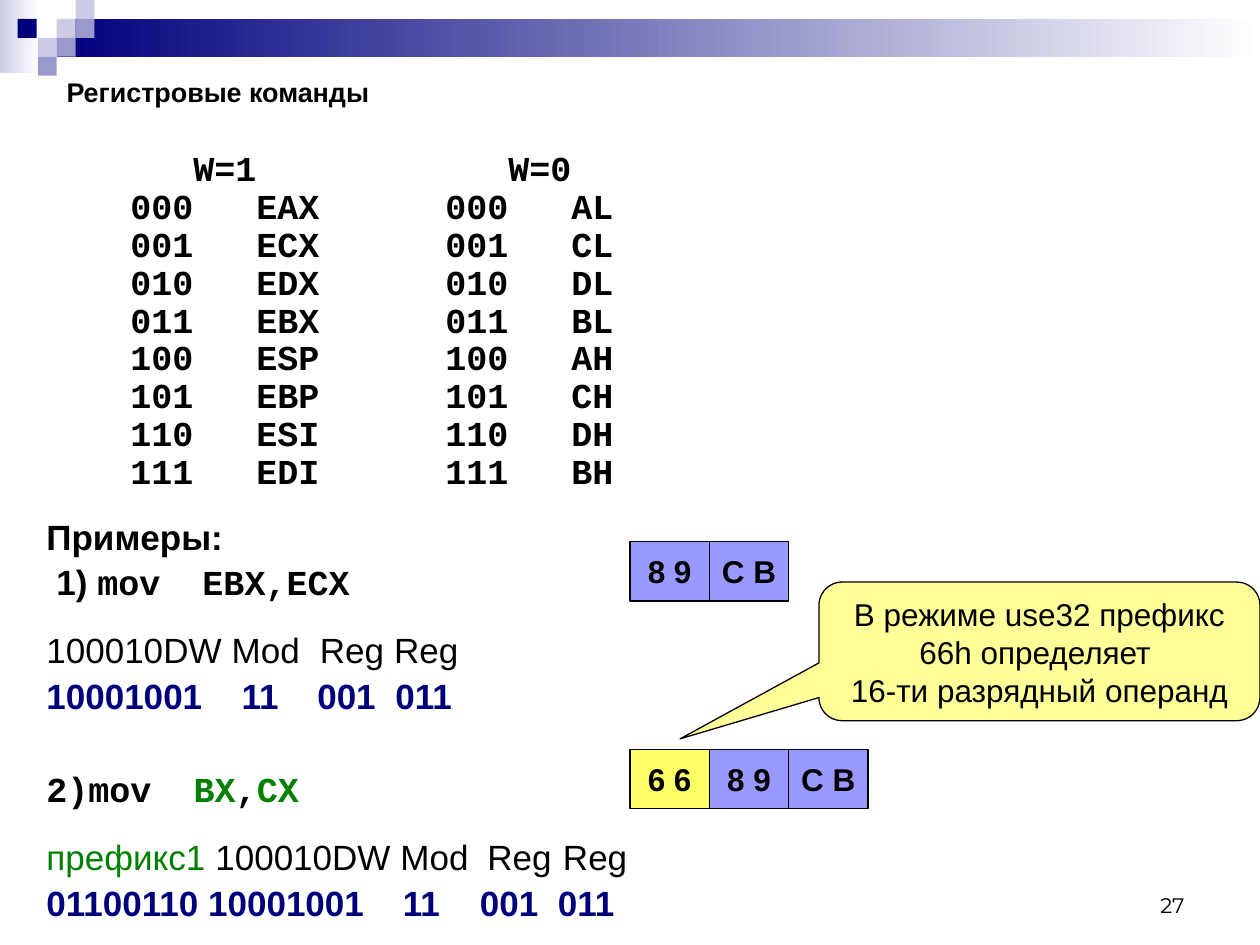
from lxml.etree import SubElement
from pptx import Presentation
from pptx.dml.color import RGBColor
from pptx.enum.shapes import MSO_SHAPE
from pptx.enum.text import MSO_ANCHOR, PP_ALIGN
from pptx.oxml.ns import qn
from pptx.util import Inches, Pt

COLORS = {
    "white": "FFFFFF", "black": "000000", "navy": "00007D", "green": "008000",
    "pale": "CCCCE6", "mid": "9999CC", "byte": "9999FF", "prefix": "FFFF66",
    "note": "FFFF99",
}
BODY_FONT, CODE_FONT = "Arial", "Courier New"
SQUARE = 0.15
BYTE_WIDTH, BYTE_HEIGHT = 0.63, 0.47
CODE_CHAR = 1 / 6  # width in inches of one 20 pt code character

REGISTERS = [
    ("000", "EAX", "AL"), ("001", "ECX", "CL"), ("010", "EDX", "DL"),
    ("011", "EBX", "BL"), ("100", "ESP", "AH"), ("101", "EBP", "CH"),
    ("110", "ESI", "DH"), ("111", "EDI", "BH"),
]


def color(name):
    return RGBColor.from_string(COLORS[name])


def add_run(paragraph, text, size=20, font=BODY_FONT, ink="black", bold=False):
    run = paragraph.add_run()
    run.text = text
    run.font.size = Pt(size)
    run.font.name = font
    run.font.bold = bold
    run.font.color.rgb = color(ink)


def add_box(slide, left, top, width, height, fill, outlined=False,
            kind=MSO_SHAPE.RECTANGLE):
    """Add a flat shape; a pair of fill names gives a left-to-right gradient."""
    box = slide.shapes.add_shape(
        kind, Inches(left), Inches(top), Inches(width), Inches(height))
    box.shadow.inherit = False
    if isinstance(fill, tuple):
        box.fill.gradient()
        box.fill.gradient_angle = 0
        for stop, name in zip(box.fill.gradient_stops, fill):
            stop.color.rgb = color(name)
    else:
        box.fill.solid()
        box.fill.fore_color.rgb = color(fill)
    if outlined:
        box.line.color.rgb = color("black")
        box.line.width = Pt(0.75)
    else:
        box.line.fill.background()
    return box


def add_text_frame(slide, left, top, width, height, anchor=MSO_ANCHOR.TOP):
    frame = slide.shapes.add_textbox(
        Inches(left), Inches(top), Inches(width), Inches(height)).text_frame
    frame.word_wrap = True
    frame.vertical_anchor = anchor
    return frame


def add_line(frame, runs, before=0, tabs=(), margin=0):
    """Add a line of (text, style) runs with tab stops given in inches."""
    first = frame.paragraphs[0]
    line = frame.add_paragraph() if first.runs else first
    line.line_spacing = Pt(21.6)
    if before:
        line.space_before = Pt(before)
    properties = line._p.get_or_add_pPr()
    if margin:
        properties.set("marL", str(Inches(margin)))
    if tabs:
        stops = SubElement(properties, qn("a:tabLst"))
        for position in tabs:
            SubElement(stops, qn("a:tab"), pos=str(Inches(position)), algn="l")
    for text, style in runs:
        add_run(line, text, **style)


def add_header_band(slide):
    add_box(slide, 0, 0, 0.31, 0.58, ("pale", "white"))
    add_box(slide, 0.45, 0.15, 9.55, 0.3, ("navy", "white"))
    squares = [
        (0.45, 0.15, "pale"), (0.6, 0, "pale"), (0.6, 0.15, "mid"),
        (0.3, 0.3, "pale"), (0.14, 0.15, "navy"), (0.45, 0.3, "mid"),
        (0.3, 0.45, "mid"),
    ]
    for left, top, fill in squares:
        add_box(slide, left, top, SQUARE, SQUARE, fill)


def add_registers(frame):
    code = {"font": CODE_FONT, "bold": True}
    header_tabs = [CODE_CHAR * column for column in (7, 22)]
    row_tabs = [CODE_CHAR * column for column in (4, 10, 19, 25)]
    add_line(frame, [("\tW=1\tW=0", code)], tabs=header_tabs)
    for bits, wide, narrow in REGISTERS:
        row = f"\t{bits}\t{wide}\t{bits}\t{narrow}"
        add_line(frame, [(row, code)], tabs=row_tabs)


def add_examples(frame):
    bold = {"bold": True}
    code = {"font": CODE_FONT, "bold": True}
    green_code = {**code, "ink": "green"}
    bits = {"bold": True, "ink": "navy"}
    fields = "100010DW\tMod\tReg\tReg"
    values = "10001001\t11\t001\t011"

    add_line(frame, [("Примеры:", bold)], 16)
    add_line(frame, [("1) ", bold), ("mov  EBX,ECX", code)], 4.1, margin=0.08)
    add_line(frame, [(fields, {})], 17.7, (1.47, 2.17, 2.76))
    add_line(frame, [(values, bits)], 4.7, (1.55, 2.15, 2.77))

    add_line(frame, [("2)mov  ", code), ("BX", green_code), (",", code),
                     ("CX", green_code)], 31.1)
    add_line(frame, [("префикс1 ", {"ink": "green"}), (fields, {})],
             17.7, (2.81, 3.5, 4.1))
    add_line(frame, [("01100110 " + values, bits)], 4.7, (2.83, 3.44, 4.06))


def add_bytes(slide, top, cells):
    for index, (text, fill) in enumerate(cells):
        cell = add_box(slide, 5 + index * BYTE_WIDTH, top,
                       BYTE_WIDTH, BYTE_HEIGHT, fill, outlined=True)
        cell.text_frame.word_wrap = False
        cell.text_frame.vertical_anchor = MSO_ANCHOR.MIDDLE
        label = cell.text_frame.paragraphs[0]
        label.alignment = PP_ALIGN.CENTER
        add_run(label, text, 18, bold=True)


def add_callout(slide):
    callout = add_box(slide, 6.5, 4.62, 3.5, 1.1, "note", outlined=True,
                      kind=MSO_SHAPE.ROUNDED_RECTANGULAR_CALLOUT)
    for index, value in enumerate((-0.815, 0.631, 0.167)):
        callout.adjustments[index] = value
    frame = callout.text_frame
    frame.word_wrap = True
    frame.vertical_anchor = MSO_ANCHOR.TOP
    for paragraph, text in (
        (frame.paragraphs[0], "В режиме use32 префикс 66h определяет "),
        (frame.add_paragraph(), "16-ти разрядный операнд"),
    ):
        paragraph.alignment = PP_ALIGN.CENTER
        add_run(paragraph, text, 18)


def main():
    presentation = Presentation()
    presentation.slide_width = Inches(10)
    presentation.slide_height = Inches(7.5)
    slide = presentation.slides.add_slide(presentation.slide_layouts[6])

    add_header_band(slide)
    number = add_text_frame(slide, 7.17, 6.83, 2.33, 0.5, MSO_ANCHOR.BOTTOM)
    number.paragraphs[0].alignment = PP_ALIGN.RIGHT
    add_run(number.paragraphs[0], "27", 12, "Montserrat")
    title = add_text_frame(slide, 0.43, 0.53, 9.57, 0.39, MSO_ANCHOR.MIDDLE)
    add_run(title.paragraphs[0], "Регистровые команды", 15.4, bold=True)

    body = add_text_frame(slide, 0.27, 1.15, 9.73, 6.35)
    add_registers(body)
    add_examples(body)

    base_code = [("8 9", "byte"), ("C B", "byte")]
    add_bytes(slide, 4.3, base_code)
    add_callout(slide)
    add_bytes(slide, 5.95, [("6 6", "prefix")] + base_code)
    presentation.save("out.pptx")


if __name__ == "__main__":
    main()
